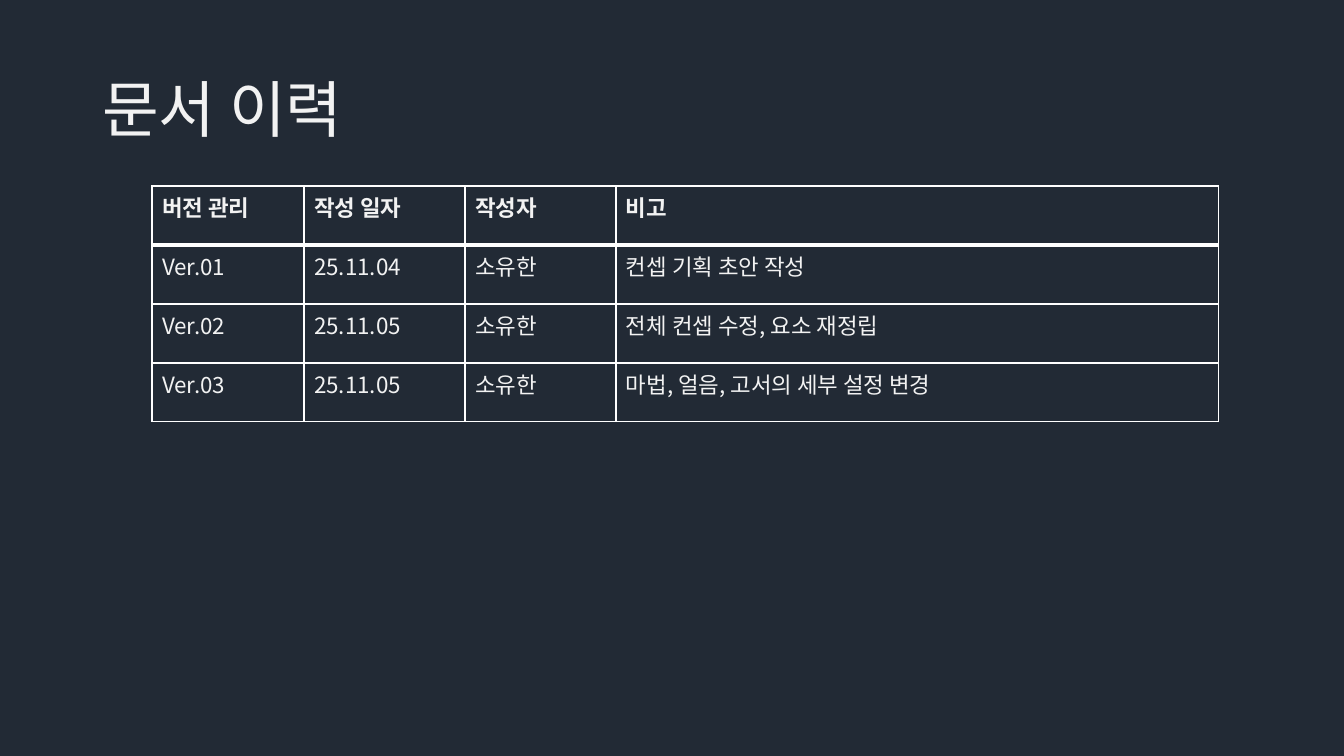
from lxml import etree
from pptx import Presentation
from pptx import util as u
from pptx.dml.color import RGBColor
from pptx.enum import text
from pptx.oxml.ns import qn

PX = 12192000 / 1344
FONT = "Noto Sans CJK KR"
NAVY, PALE, WHITE = "222A35", "F2F2F2", "FFFFFF"

COL_WIDTHS = [152, 161, 151, 603]
ROW_HEIGHT = 59
HISTORY = [
    ["버전 관리", "작성 일자", "작성자", "비고"],
    ["Ver.01", "25.11.04", "소유한", "컨셉 기획 초안 작성"],
    ["Ver.02", "25.11.05", "소유한", "전체 컨셉 수정, 요소 재정립"],
    ["Ver.03", "25.11.05", "소유한", "마법, 얼음, 고서의 세부 설정 변경"],
]


def px(n):
    return u.Emu(round(n * PX))


def fill(target, color):
    target.fill.solid()
    target.fill.fore_color.rgb = RGBColor.from_string(color)


def write(tf, content, size=16, color=PALE, bold=False, spacing=None):
    p = tf.paragraphs[0]
    p.alignment = text.PP_ALIGN.LEFT
    p.line_spacing = spacing
    r = p.add_run()
    r.text = content
    r.font.size = u.Pt(size)
    r.font.bold = bold
    r.font.name = FONT
    fill(r.font, color)
    # Korean glyphs use the East Asian typeface
    etree.SubElement(r.font._element, qn("a:ea"), typeface=FONT)


def border(cell, side, width, color=WHITE):
    tcPr = cell._tc.get_or_add_tcPr()
    ln = etree.SubElement(tcPr, qn(f"a:ln{side}"), w=str(u.Pt(width)))
    solid = etree.SubElement(ln, qn("a:solidFill"))
    etree.SubElement(solid, qn("a:srgbClr"), val=color)


def add_title(s, content, x, y, w, h):
    sp = s.shapes.title
    sp.left, sp.top, sp.width, sp.height = map(px, (x, y, w, h))
    sp.text_frame.word_wrap = True
    sp.text_frame.vertical_anchor = text.MSO_ANCHOR.MIDDLE
    write(sp.text_frame, content, size=44, spacing=0.9)


def add_history(s, rows, x, y, widths, row_height):
    frame = s.shapes.add_table(len(rows), len(widths), px(x), px(y),
                               px(sum(widths)), px(row_height * len(rows)))
    table = frame.table
    table.horz_banding = False
    for col, width in zip(table.columns, widths):
        col.width = px(width)
    for i, row in enumerate(rows):
        table.rows[i].height = px(row_height)
        for j, content in enumerate(row):
            cell = table.cell(i, j)
            write(cell.text_frame, content, bold=i == 0)
            # A thick rule separates the header from the entries
            for side in "LRTB":
                thick = (i, side) in ((0, "B"), (1, "T"))
                border(cell, side, 3 if thick else 1)
            fill(cell, NAVY)


def build_history_slide(prs):
    s = prs.slides.add_slide(prs.slide_layouts[5])
    fill(s.background, NAVY)
    add_title(s, "문서 이력", 92, 40, 331, 146)
    add_history(s, HISTORY, 152, 186, COL_WIDTHS, ROW_HEIGHT)


def main():
    prs = Presentation()
    prs.slide_width, prs.slide_height = px(1344), px(756)
    build_history_slide(prs)
    prs.save("out.pptx")


if __name__ == "__main__":
    main()
